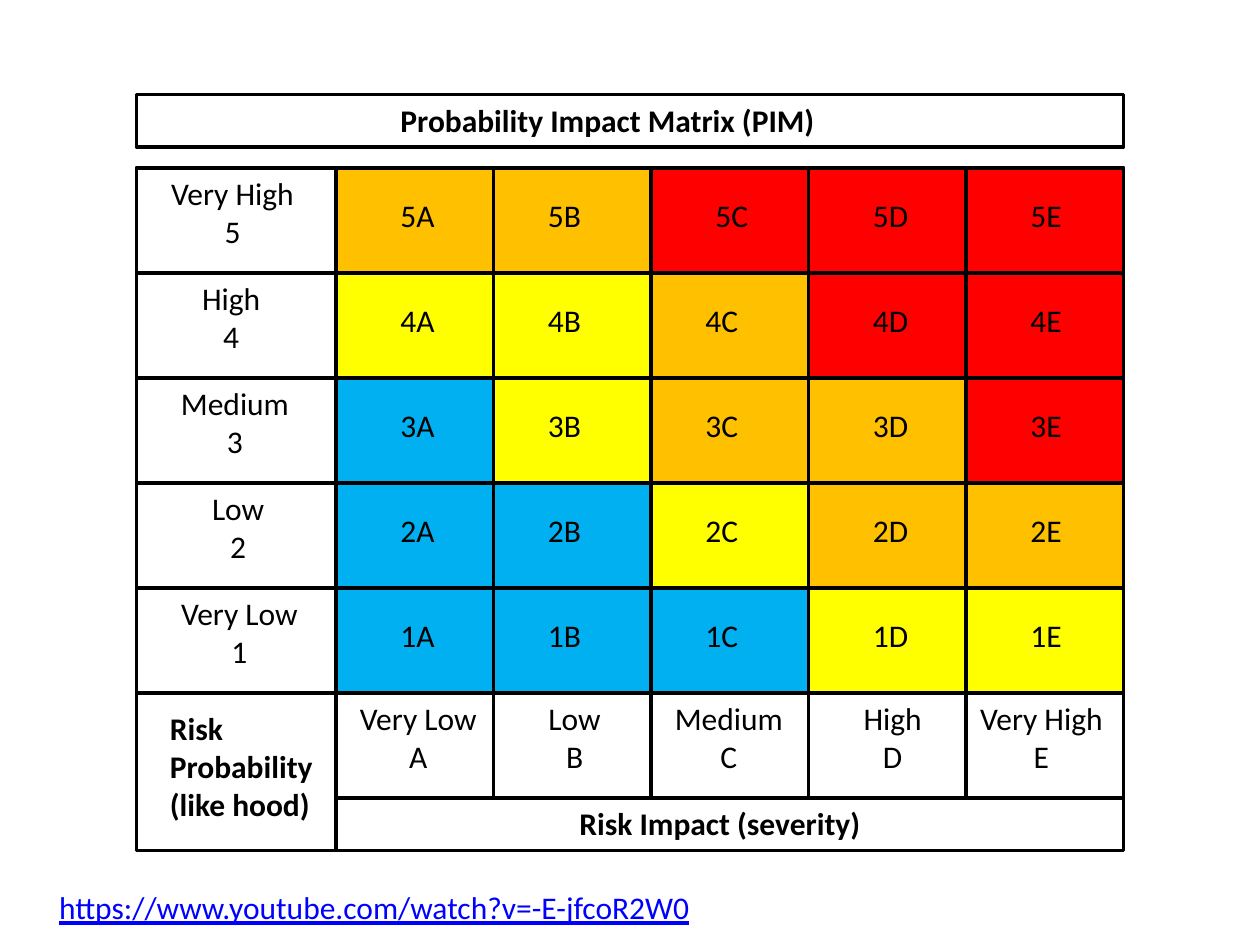
import dataclasses

import pptx
import pptx.dml.color
import pptx.enum.shapes
import pptx.enum.text
import pptx.oxml.ns
import pptx.util
from lxml import etree

Inches = pptx.util.Inches
Pt = pptx.util.Pt


@dataclasses.dataclass(frozen=True)
class Theme:
    font: str = "Calibri"
    size: int = 18
    frame: float = 2
    grid: float = 0.75
    ink: str = "000000"
    link: str = "0000FF"
    red: str = "FF0000"
    amber: str = "FFC000"
    yellow: str = "FFFF00"
    blue: str = "00B0F0"


THEME = Theme()

# Grid of the matrix, in inches
LEFT, TOP = 13 / 12, 4 / 3
HEAD, COL, ROW = 19 / 12, 5 / 4, 5 / 6
BODY = LEFT + HEAD
WIDTH = HEAD + 5 * COL
BASE = TOP + 5 * ROW
BAR = ROW / 2

# Probability rows from top to bottom: label, left of label, rating per column
RATES = {"R": THEME.red, "O": THEME.amber, "Y": THEME.yellow, "B": THEME.blue}
ROWS = [
    ("Very High", 1.25, "OORRR"),
    ("High", 1.5, "YYORR"),
    ("Medium", 1.33, "BYOOR"),
    ("Low", 1.58, "BBYOO"),
    ("Very Low", 1.33, "BBBYY"),
]

# Impact columns: letter, label, left of label, left and width of cell code
COLS = [
    ("A", "Very Low", 2.75, 3.08, 0.48),
    ("B", "Low", 4.25, 4.25, 0.47),
    ("C", "Medium", 5.25, 5.5, 0.46),
    ("D", "High", 6.75, 6.83, 0.49),
    ("E", "Very High", 7.67, 8.08, 0.45),
]
WIDE = {"Very High": 1.19, "High": 0.67, "Medium": 1.07, "Low": 0.62, "Very Low": 1.14}
SHIFT = {"5C": 0.08}


def paint(hue):
    return pptx.dml.color.RGBColor.from_string(hue)


def add_box(slide, x, y, w, h, fill=None):
    box = slide.shapes.add_shape(
        pptx.enum.shapes.MSO_SHAPE.RECTANGLE, Inches(x), Inches(y), Inches(w), Inches(h))
    box.shadow.inherit = False
    if fill:
        box.fill.solid()
        box.fill.fore_color.rgb = paint(fill)
    else:
        box.fill.background()
    box.line.color.rgb = paint(THEME.ink)
    box.line.width = Pt(THEME.frame)


def add_rule(slide, x1, y1, x2, y2):
    rule = slide.shapes.add_connector(
        pptx.enum.shapes.MSO_CONNECTOR.STRAIGHT,
        Inches(x1), Inches(y1), Inches(x2), Inches(y2))
    rule.line.color.rgb = paint(THEME.ink)
    rule.line.width = Pt(THEME.grid)
    etree.SubElement(rule._element.spPr, pptx.oxml.ns.qn("a:effectLst"))


def add_text(slide, text, x, y, w, h=0.4, bold=False, mid=False, link=False):
    box = slide.shapes.add_textbox(Inches(x), Inches(y), Inches(w), Inches(h))
    frame = box.text_frame
    frame.word_wrap = link
    frame.auto_size = pptx.enum.text.MSO_AUTO_SIZE.SHAPE_TO_FIT_TEXT
    frame.text = text
    for para in frame.paragraphs:
        if mid:
            para.alignment = pptx.enum.text.PP_ALIGN.CENTER
        for run in para.runs:
            run.font.name = THEME.font
            run.font.size = Pt(THEME.size)
            run.font.bold = bold
            run.font.underline = link
            run.font.color.rgb = paint(THEME.link if link else THEME.ink)


def add_label(slide, name, code, x, y):
    add_text(slide, f"{name}\n{code}", x, y, WIDE[name], 0.71, mid=True)


def draw_grid(slide):
    right = LEFT + WIDTH
    add_box(slide, LEFT, TOP, WIDTH, BASE + ROW + BAR - TOP)
    add_rule(slide, BODY, TOP, right, TOP)
    for i in range(6):
        x = BODY + i * COL
        add_rule(slide, x, TOP, x, BASE + ROW)
    for i in range(1, 6):
        y = TOP + i * ROW
        add_rule(slide, right, y, LEFT, y)


def draw_cells(slide):
    for i, (name, left, rates) in enumerate(ROWS):
        y = TOP + i * ROW
        add_box(slide, LEFT, y, HEAD, ROW)
        add_label(slide, name, 5 - i, left, y)
        for j, (rate, col) in enumerate(zip(rates, COLS)):
            code = f"{5 - i}{col[0]}"
            add_box(slide, BODY + j * COL, y, COL, ROW, RATES[rate])
            add_text(slide, code, col[3] + SHIFT.get(code, 0), y + 0.17, col[4])


def draw_axis(slide):
    add_box(slide, LEFT, BASE, HEAD, ROW + BAR)
    add_text(slide, "Risk\nProbability\n(like hood)", 1.25, 5.58, 1.34, 1.01, bold=True)
    for j, (code, name, left, *rest) in enumerate(COLS):
        add_box(slide, BODY + j * COL, BASE, COL, ROW)
        add_label(slide, name, code, left, BASE)
    add_text(slide, "Risk Impact (severity)", 4.5, BASE + ROW, 2.45, bold=True)


def main():
    deck = pptx.Presentation()
    deck.slide_width, deck.slide_height = Inches(10), Inches(7.5)
    slide = deck.slides.add_slide(deck.slide_layouts[6])

    # Title bar
    add_box(slide, LEFT, 0.75, WIDTH, BAR)
    add_text(slide, "Probability Impact Matrix (PIM)", 3.08, 0.75, 3.52, bold=True)

    # Matrix
    draw_grid(slide)
    draw_cells(slide)
    draw_axis(slide)

    # Web address
    add_text(slide, "https://www.youtube.com/watch?v=-E-jfcoR2W0", 0.37, 7, 6.72, link=True)

    deck.save("out.pptx")


if __name__ == "__main__":
    main()
